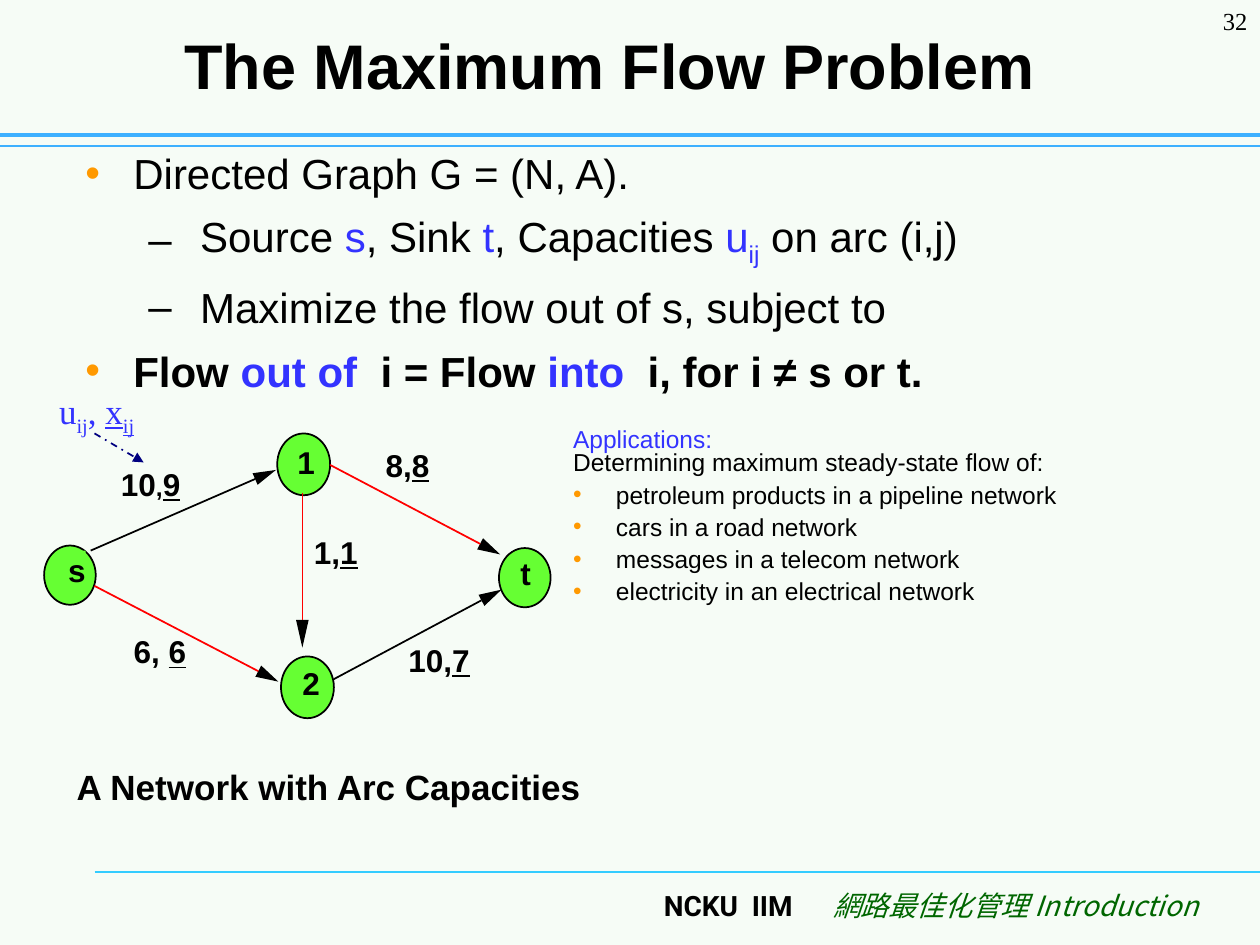
"""Build the maximum flow problem slide."""
from dataclasses import dataclass
from math import hypot

from lxml import etree
from pptx import Presentation
from pptx.dml.color import RGBColor
from pptx.enum import dml, shapes, text
from pptx.oxml import ns
from pptx.util import Inches, Pt


@dataclass(frozen=True)
class Theme:
    background: str = "F6FCF6"
    ink: str = "000000"
    accent: str = "3333FF"
    bullet: str = "FF9900"
    rule: str = "3DB0FF"
    footer_rule: str = "33CCFF"
    footer: str = "006600"
    node: str = "66FF33"
    saturated: str = "FF0000"
    pointer: str = "000080"
    sans: str = "Arial"
    serif: str = "Times New Roman"
    footer_sans: str = "Roboto"
    cjk: str = "Noto Sans CJK SC"
    title: float = 36
    body: float = 24
    caption: float = 20
    label: float = 18
    footer_size: float = 16
    small: float = 14


THEME = Theme()


@dataclass(frozen=True)
class Run:
    words: str
    size: float = THEME.label
    color: str = THEME.ink
    font: str = THEME.sans
    bold: bool = False
    italic: bool = False
    underline: bool = False
    subscript: bool = False


@dataclass(frozen=True)
class Para:
    runs: tuple
    align: text.PP_ALIGN = text.PP_ALIGN.LEFT
    before: float = 0
    spacing: float = 1
    bullet: str = ""
    bullet_color: str = THEME.bullet
    margin: float = 0
    hang: float = 0
    level: int = 0


@dataclass(frozen=True)
class Node:
    name: str
    left: float
    top: float
    width: float
    height: float
    name_left: float
    name_top: float


@dataclass(frozen=True)
class Arc:
    start: tuple
    tip: tuple
    color: str = THEME.ink
    head: float = 0.18


@dataclass(frozen=True)
class Capacity:
    left: float
    top: float
    capacity: str
    flow: str
    comma: str = ","
    comma_size: float = THEME.label


def child(parent, tag: str, **attributes):
    return etree.SubElement(parent, ns.qn(tag), attributes)


def add_run(paragraph, spec_run: Run) -> None:
    run = paragraph.add_run()
    run.text = spec_run.words
    font = run.font
    font.size, font.name = Pt(spec_run.size), spec_run.font
    font.bold, font.italic = spec_run.bold, spec_run.italic
    font.underline = spec_run.underline
    font.color.rgb = RGBColor.from_string(spec_run.color)
    properties = run._r.get_or_add_rPr()
    child(properties, "a:ea", typeface=spec_run.font)
    if spec_run.subscript:
        properties.set("baseline", "-25000")


def fill_frame(frame, paras, inset=(0.1, 0.05), anchor=text.MSO_ANCHOR.TOP) -> None:
    frame.word_wrap = True
    frame.auto_size = text.MSO_AUTO_SIZE.NONE
    frame.vertical_anchor = anchor
    frame.margin_left = frame.margin_right = Inches(inset[0])
    frame.margin_top = frame.margin_bottom = Inches(inset[1])
    for index, para in enumerate(paras):
        paragraph = frame.add_paragraph() if index else frame.paragraphs[0]
        paragraph.alignment, paragraph.level = para.align, para.level
        paragraph.line_spacing = para.spacing
        paragraph.space_before = Pt(para.before if index else 0)
        if para.bullet:
            properties = paragraph._p.get_or_add_pPr()
            properties.set("marL", str(Inches(para.margin)))
            properties.set("indent", str(-Inches(para.hang)))
            child(child(properties, "a:buClr"), "a:srgbClr", val=para.bullet_color)
            child(properties, "a:buFont", typeface=THEME.sans)
            child(properties, "a:buChar", char=para.bullet)
        for run in para.runs:
            if run is None:
                paragraph.add_line_break()
            else:
                add_run(paragraph, run)


def add_text(slide, box: tuple, *paras: Para, inset=(0.1, 0.05)):
    holder = slide.shapes.add_textbox(*map(Inches, box))
    fill_frame(holder.text_frame, paras, inset)
    return holder


def add_line(slide, start: tuple, end: tuple, color: str, width: float):
    line = slide.shapes.add_connector(
        shapes.MSO_CONNECTOR.STRAIGHT, *map(Inches, start + end))
    line.line.color.rgb = RGBColor.from_string(color)
    line.line.width = Pt(width)
    child(line._element.spPr, "a:effectLst")
    return line


def paint(shape, color: str) -> None:
    shape.fill.solid()
    shape.fill.fore_color.rgb = RGBColor.from_string(color)


def add_node(slide, node: Node) -> None:
    circle = slide.shapes.add_shape(
        shapes.MSO_SHAPE.OVAL,
        *map(Inches, (node.left, node.top, node.width, node.height)))
    circle.shadow.inherit = False
    paint(circle, THEME.node)
    circle.line.color.rgb = RGBColor.from_string(THEME.ink)
    circle.line.width = Pt(1)
    name = add_text(slide, (node.name_left, node.name_top, 0.14, 0.3),
                    Para((Run(node.name, bold=True),)), inset=(0, 0))
    paint(name, THEME.node)


def add_arc(slide, arc: Arc) -> None:
    (x, y), (tip_x, tip_y) = arc.start, arc.tip
    length = hypot(tip_x - x, tip_y - y)
    dx, dy = (tip_x - x) / length, (tip_y - y) / length
    base_x, base_y = tip_x - arc.head * dx, tip_y - arc.head * dy
    half = 0.05
    corners = [(base_x + side * half * dy, base_y - side * half * dx) for side in (1, -1)]
    outline = slide.shapes.build_freeform(Inches(tip_x), Inches(tip_y))
    outline.add_line_segments([tuple(map(Inches, corner)) for corner in corners])
    head = outline.convert_to_shape()
    head.shadow.inherit = False
    paint(head, THEME.ink)
    head.line.fill.background()
    add_line(slide, arc.start, (base_x, base_y), arc.color, 1)


def body_run(words: str, accent: bool = False, **style) -> Run:
    return Run(words, THEME.body, THEME.accent if accent else THEME.ink, **style)


def body_para(*runs: Run, level: int = 0) -> Para:
    if level:
        return Para(runs, before=7.5, bullet="–", bullet_color=THEME.ink,
                    margin=0.91, hang=0.41, level=1)
    return Para(runs, before=7.5, bullet="•", margin=0.38, hang=0.38)


NODES = (
    Node("s", 0.35, 4.33, 0.41, 0.47, 0.54, 4.37),
    Node("1", 2.2, 3.44, 0.42, 0.49, 2.36, 3.52),
    Node("2", 2.23, 5.21, 0.42, 0.49, 2.4, 5.27),
    Node("t", 3.96, 4.35, 0.41, 0.47, 4.13, 4.4),
)
ARCS = (
    Arc((0.72, 4.37), (2.19, 3.73)),
    Arc((0.75, 4.65), (2.21, 5.41), THEME.saturated),
    Arc((2.62, 3.69), (3.97, 4.4), THEME.saturated),
    Arc((2.65, 5.39), (3.98, 4.68)),
    Arc((2.4, 3.91), (2.4, 5.14), THEME.saturated, 0.22),
)
CAPACITIES = (
    Capacity(0.96, 3.69, "10", "9", comma_size=THEME.small),
    Capacity(3.06, 3.54, "8", "8"),
    Capacity(2.49, 4.23, "1", "1"),
    Capacity(3.24, 5.09, "10", "7"),
    Capacity(1.06, 5.02, "6", "6", ", "),
)
BODY = (
    body_para(body_run("Directed Graph G = (N, A).")),
    body_para(body_run("Source "), body_run("s", True), body_run(", Sink "),
              body_run("t", True), body_run(", Capacities "), body_run("u", True),
              body_run("ij", True, subscript=True), body_run(" on arc (i,j)"), level=1),
    body_para(body_run("Maximize the flow out of s, subject to"), level=1),
    body_para(*(body_run(words, accent, bold=True) for words, accent in (
        ("Flow ", False), ("out of", True), ("  i = Flow ", False),
        ("into", True), ("  i, for i ≠ s or t.", False)))),
)
USES = ("petroleum products in a pipeline network", "cars in a road network",
        "messages in a telecom network", "electricity in an electrical network")


def add_network(slide) -> None:
    add_text(slide, (0.51, 6.03, 4.25, 0.44),
             Para((Run("A Network with Arc Capacities", THEME.caption, bold=True),)))
    for node in NODES:
        add_node(slide, node)
    for arc in ARCS:
        add_arc(slide, arc)
    for item in CAPACITIES:
        add_text(slide, (item.left, item.top, 0.65, 0.3), Para((
            Run(item.capacity, bold=True), Run(item.comma, item.comma_size, bold=True),
            Run(item.flow, bold=True, underline=True))), inset=(0, 0))
    legend = (("u", False, False), ("ij", False, True), (", ", False, False),
              ("x", True, False), ("ij", True, True))
    add_text(slide, (0.37, 3.04, 0.85, 0.48), Para(tuple(
        Run(words, THEME.caption, THEME.accent, THEME.serif, underline=under, subscript=sub)
        for words, under, sub in legend)))
    pointer = add_line(slide, (0.75, 3.44), (1.14, 3.67), THEME.pointer, 1)
    pointer.line.dash_style = dml.MSO_LINE.DASH_DOT
    child(pointer.line._get_or_add_ln(), "a:tailEnd", type="triangle")


def main() -> None:
    deck = Presentation()
    deck.slide_width, deck.slide_height = Inches(10), Inches(7.5)
    slide = deck.slides.add_slide(deck.slide_layouts[5])
    paint(slide.background, THEME.background)
    add_line(slide, (0.75, 6.92), (10, 6.92), THEME.footer_rule, 0.75)
    add_line(slide, (0, 1.16), (10, 1.16), THEME.rule, 0.75)
    add_line(slide, (0, 1.07), (10, 1.07), THEME.rule, 2.5)
    right = text.PP_ALIGN.RIGHT
    add_text(slide, (4.39, 7, 2, 0.5), Para((
        Run("NCKU  IIM", THEME.footer_size, font=THEME.footer_sans, bold=True),), right))
    add_text(slide, (6.4, 7, 3.21, 0.5), Para((
        Run("網路最佳化管理 Introduction", THEME.footer_size, THEME.footer, THEME.cjk,
            italic=True),), right))
    add_text(slide, (9.17, 0, 0.83, 0.5),
             Para((Run("32", THEME.small, font=THEME.serif),), right))
    title = slide.shapes.title
    title.left, title.top, title.width, title.height = map(Inches, (0.59, 0.21, 8.5, 0.65))
    fill_frame(title.text_frame, (Para((Run("The Maximum Flow Problem", THEME.title, bold=True),),
                                       text.PP_ALIGN.CENTER),), anchor=text.MSO_ANCHOR.BOTTOM)
    add_text(slide, (0.58, 1.08, 8.45, 5.58), *BODY, inset=(0.1, 0.09))
    add_network(slide)
    intro = Para((Run("Applications:", THEME.small, THEME.accent), None,
                  Run("Determining maximum steady-state flow of:", THEME.small)), spacing=0.8)
    uses = (Para((Run(use, THEME.small),), before=5, spacing=0.8, bullet="•",
                 margin=0.34, hang=0.34) for use in USES)
    add_text(slide, (4.45, 3.36, 5.55, 1.85), intro, *uses)
    deck.save("out.pptx")


if __name__ == "__main__":
    main()
